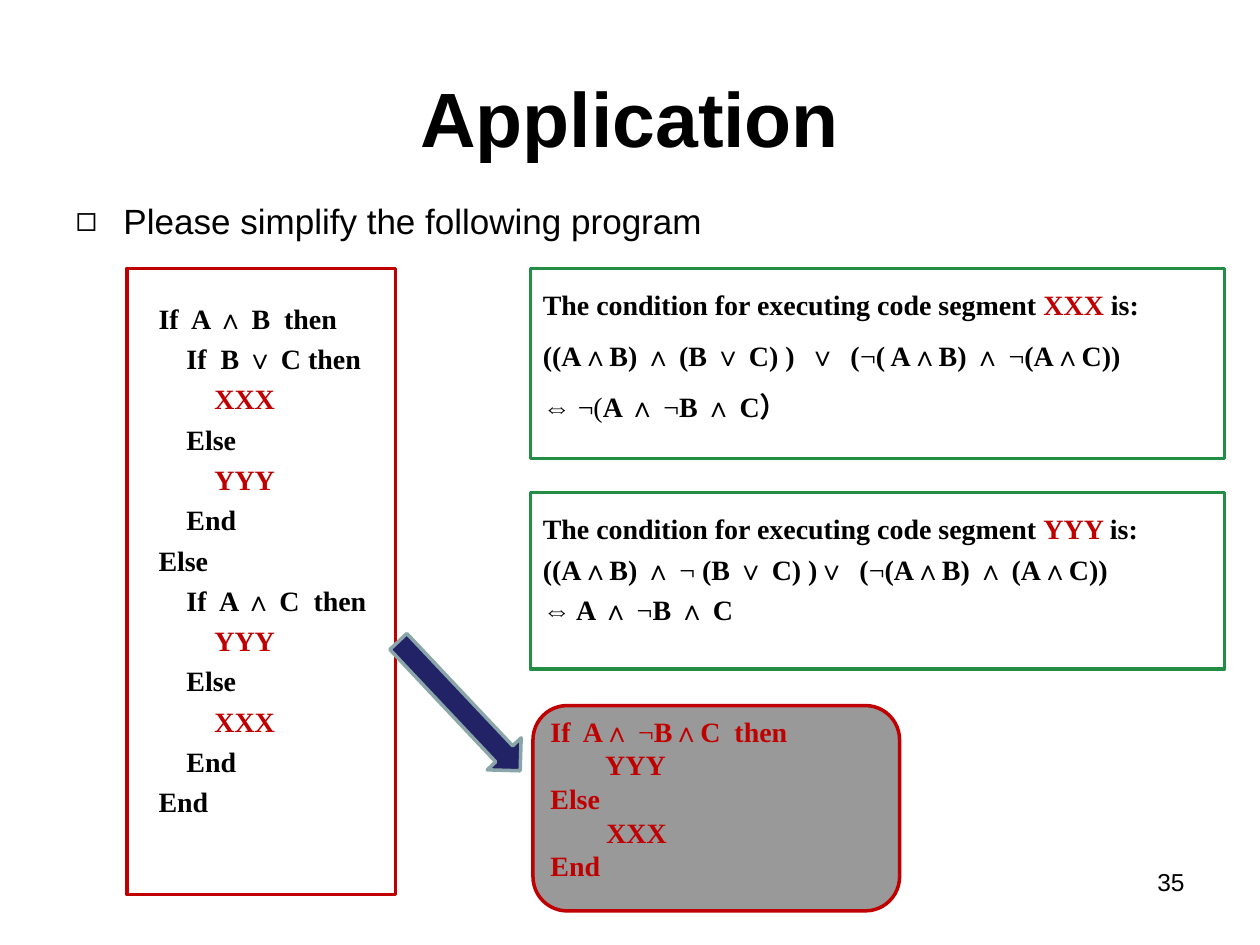
from dataclasses import dataclass

from lxml.etree import SubElement
from pptx import Presentation
from pptx.dml.color import RGBColor
from pptx.enum.shapes import MSO_SHAPE
from pptx.enum.text import MSO_ANCHOR, PP_ALIGN
from pptx.oxml.ns import qn
from pptx.util import Pt

PX = 9144  # EMU in one px, 100 px to the inch


@dataclass(frozen=True)
class Theme:
    sans: str = "Arial"
    serif: str = "Times New Roman"
    ink: str = "000000"
    red: str = "C00000"
    green: str = "238D46"
    gray: str = "999999"
    navy: str = "222267"
    mist: str = "8AA6A8"
    title: int = 44
    body: int = 20
    code: int = 16
    number: int = 14
    line: int = 2


theme = Theme()


def write_lines(frame, lines, font=theme.serif, size=theme.code, color=theme.ink,
                bold=True, align=PP_ALIGN.LEFT, spacing=1.0, before=0, indent=0):
    """Fill a frame; spans between bars are red, or light if they start with ¬."""
    frame.word_wrap = True
    for index, line in enumerate(lines):
        para = frame.paragraphs[0] if index == 0 else frame.add_paragraph()
        para.alignment = align
        para.line_spacing = spacing
        para.space_before = Pt(before if index else 0)
        if indent:
            para._p.get_or_add_pPr().set("marL", str(indent * PX))
        for position, text in enumerate(line.split("|")):
            if not text:
                continue
            marked = position % 2 == 1
            light = marked and text.startswith("¬")
            span = para.add_run()
            span.text = text
            span.font.name = font
            span.font.size = Pt(size)
            span.font.bold = bold and not light
            span.font.color.rgb = RGBColor.from_string(
                theme.red if marked and not light else color)


def add_panel(kind, left, top, width, height, line, fill=None):
    panel = page.shapes.add_shape(kind, left * PX, top * PX, width * PX, height * PX)
    panel.shadow.inherit = False
    panel.line.color.rgb = RGBColor.from_string(line)
    panel.line.width = Pt(theme.line)
    if fill:
        panel.fill.solid()
        panel.fill.fore_color.rgb = RGBColor.from_string(fill)
    else:
        panel.fill.background()
    return panel


deck = Presentation()
deck.slide_width, deck.slide_height = 1000 * PX, 750 * PX
page = deck.slides.add_slide(deck.slide_layouts[1])

# Title and task
title, body = page.placeholders
for holder, top, height in ((title, 30, 125), (body, 153, 495)):
    holder.left, holder.top = 50 * PX, top * PX
    holder.width, holder.height = 900 * PX, height * PX
title.text_frame.vertical_anchor = MSO_ANCHOR.MIDDLE
write_lines(title.text_frame, ["Application"], font=theme.sans, size=theme.title,
            align=PP_ALIGN.CENTER)

bullet_properties = body.text_frame.paragraphs[0]._p.get_or_add_pPr()
bullet_properties.set("indent", str(-38 * PX))
SubElement(bullet_properties, qn("a:buChar")).set("char", "◻")
write_lines(body.text_frame, ["Please simplify the following program"],
            font=theme.sans, size=theme.body, bold=False, indent=38)

# Frames and arrow
add_panel(MSO_SHAPE.ROUNDED_RECTANGLE, 423, 560, 291, 163, theme.red, theme.gray)
add_panel(MSO_SHAPE.RECTANGLE, 101, 213, 213, 497, theme.red)
for top, height in ((213, 151), (391, 140)):
    add_panel(MSO_SHAPE.RECTANGLE, 421, top, 551, height, theme.green)
arrow = add_panel(MSO_SHAPE.RIGHT_ARROW, 294, 542, 141, 37, theme.mist, theme.navy)
arrow.rotation = 46.7

# Program, conditions, simplified program and page number
program = [
    "If  A ∧ B  then",
    "    If  B ∨ C then",
    "        |XXX",
    "    Else",
    "        |YYY",
    "    End",
    "Else",
    "    If  A ∧ C  then",
    "        |YYY",
    "    Else",
    "        |XXX",
    "    End",
    "End",
]
condition_xxx = [
    "The condition for executing code segment |XXX |is:",
    "((A∧B) ∧ (B ∨ C) )  ∨  (|¬|( A∧B) ∧ |¬|(A∧C))",
    "⇔ |¬(|A ∧ |¬|B ∧ C）",
]
condition_yyy = [
    "The condition for executing code segment |YYY |is:",
    "((A∧B) ∧ |¬ |(B ∨ C) )∨  (|¬|(A∧B) ∧ (A∧C))",
    "⇔ A ∧ |¬|B ∧ C",
]
simplified = ["If  A∧ |¬|B∧C  then", "        YYY", "Else", "        XXX", "End"]

texts = [
    ((106, 229, 291, 457), program,
     dict(align=PP_ALIGN.JUSTIFY, spacing=1.2, indent=10)),
    ((421, 221, 551, 124), condition_xxx, dict(spacing=1.1, before=8)),
    ((421, 396, 535, 104), condition_yyy, dict(spacing=1.2)),
    ((427, 562, 311, 162), simplified, dict(color=theme.red)),
    ((717, 683, 233, 52), ["35"],
     dict(font=theme.sans, size=theme.number, bold=False, align=PP_ALIGN.RIGHT)),
]
for place, lines, style in texts:
    box = page.shapes.add_textbox(*(length * PX for length in place))
    write_lines(box.text_frame, lines, **style)

deck.save("out.pptx")
